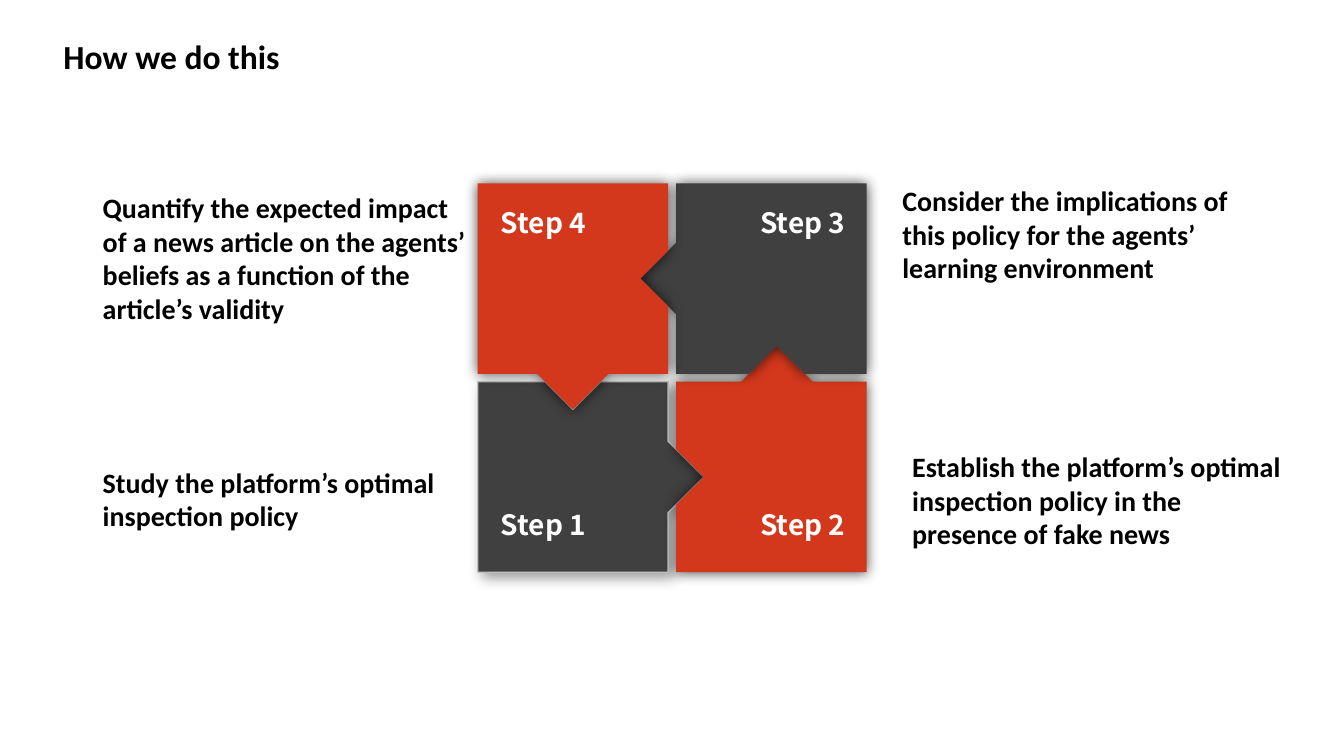
import lxml.etree
import pptx
import pptx.dml.color
import pptx.enum.text
import pptx.oxml.ns
import pptx.util

Cm = pptx.util.Cm
Pt = pptx.util.Pt
RGBColor = pptx.dml.color.RGBColor
Align = pptx.enum.text.PP_ALIGN
Anchor = pptx.enum.text.MSO_ANCHOR
qn = pptx.oxml.ns.qn

BLACK = RGBColor(0x00, 0x00, 0x00)
WHITE = RGBColor(0xFF, 0xFF, 0xFF)
CHARCOAL = RGBColor(0x40, 0x40, 0x40)
RED = RGBColor(0xD3, 0x38, 0x1C)
SILVER = RGBColor(0xC0, 0xC0, 0xC0)

PIECE = 4.8
GAP = 0.2
TAB = 0.9
NOTCH = GAP - TAB
RIGHT_SEAM_SHIFT = 0.14
DIRECTIONS = {"top": (1, 0), "right": (0, 1), "bottom": (-1, 0), "left": (0, -1)}

PUZZLE = [
    ("Step 1", 0, 1, CHARCOAL, {"top": NOTCH, "right": TAB}),
    ("Step 2", 1, 1, RED, {"top": TAB, "left": NOTCH}),
    ("Step 3", 1, 0, CHARCOAL, {"left": TAB, "bottom": NOTCH}),
    ("Step 4", 0, 0, RED, {"right": NOTCH, "bottom": TAB}),
]
EXPLANATIONS = [
    ("Quantify the expected impact of a news article on the agents’ beliefs "
     "as a function of the article’s validity", 2.34, 7.1),
    ("Study the platform’s optimal inspection policy", 2.34, 12.33),
    ("Consider the implications of this policy for the agents’ learning "
     "environment", 22.49, 6.08),
    ("Establish the platform’s optimal inspection policy in the presence of "
     "fake news", 22.74, 12.78),
]


def write(frame, text, size=20, font="Calibri", color=BLACK, align=Align.LEFT,
          anchor=Anchor.TOP, wrap=True):
    """Fill a text frame with one bold, formatted paragraph."""
    frame.word_wrap = wrap
    frame.auto_size = pptx.enum.text.MSO_AUTO_SIZE.NONE
    frame.vertical_anchor = anchor
    frame.margin_left = frame.margin_right = Cm(0.25)
    frame.margin_top = frame.margin_bottom = Cm(0.13)
    paragraph = frame.paragraphs[0]
    paragraph.alignment = align
    run = paragraph.add_run()
    run.text = text
    run.font.size = Pt(size)
    run.font.name = font
    run.font.bold = True
    run.font.color.rgb = color
    east_asian = lxml.etree.SubElement(run.font._element, qn("a:ea"))
    east_asian.set("typeface", font)


def cast_shadow(shape, opacity, distance, angle):
    """Give a shape a blurred black outer shadow."""
    shape.shadow.inherit = False
    effects = shape._element.spPr.find(qn("a:effectLst"))
    shadow = lxml.etree.SubElement(
        effects, qn("a:outerShdw"), blurRad=str(Pt(10)), dist=str(Pt(distance)),
        dir=str(angle * 60000), algn="ctr", rotWithShape="0")
    tint = lxml.etree.SubElement(shadow, qn("a:srgbClr"), val=str(BLACK))
    lxml.etree.SubElement(tint, qn("a:alpha"), val=str(opacity * 1000))


def piece_outline(left, top, joints, shift):
    """Walk clockwise round a square piece, adding its tabs and notches."""
    x, y = left, top
    points = []
    for side, (dx, dy) in DIRECTIONS.items():
        points.append((x, y))
        depth = joints.get(side, 0)
        if depth:
            middle = PIECE / 2 + shift * dx
            half = abs(depth)
            for along, out in ((middle - half, 0), (middle, depth), (middle + half, 0)):
                points.append((x + along * dx + out * dy, y + along * dy - out * dx))
        x, y = x + PIECE * dx, y + PIECE * dy
    return [(Cm(px), Cm(py)) for px, py in points]


def add_piece(shapes, left, top, step, column, row, color, joints):
    """Draw one puzzle piece with its step label in the outer corner."""
    outline = piece_outline(left, top, joints, RIGHT_SEAM_SHIFT * column)
    builder = shapes.build_freeform(*outline[0], scale=1.0)
    builder.add_line_segments(outline[1:], close=True)
    piece = builder.convert_to_shape()
    piece.fill.solid()
    piece.fill.fore_color.rgb = color
    if step == "Step 1":
        piece.line.color.rgb = SILVER
        piece.line.width = Pt(1)
        cast_shadow(piece, 40, 5, 45)
    else:
        piece.line.fill.background()
        cast_shadow(piece, 70, 0, 0)

    width, height, inset = 2.72, 1.37, 0.27
    label_left = left + (PIECE - width - inset if column else inset)
    label_top = top + (PIECE - height - 0.5 if row else 0.3)
    label = shapes.add_textbox(Cm(label_left), Cm(label_top), Cm(width), Cm(height))
    write(label.text_frame, step, font="Noto Sans CJK SC", color=WHITE,
          align=Align.CENTER, wrap=False)
    label.text_frame.margin_top = label.text_frame.margin_bottom = Cm(0.25)
    label.text_frame.margin_right = Cm(0.2)


def add_puzzle(slide, left, top):
    """Assemble the four interlocking steps from a top-left corner."""
    puzzle = slide.shapes.add_group_shape()
    pitch = PIECE + GAP
    for step, column, row, color, joints in PUZZLE:
        add_piece(puzzle.shapes, left + column * pitch, top + row * pitch,
                  step, column, row, color, joints)


def add_explanation(slide, text, left, top, width=9.88, height=1.22):
    """Place the explanation of a step, growing upwards from its box."""
    explanation = slide.shapes.add_textbox(Cm(left), Cm(top), Cm(width), Cm(height))
    write(explanation.text_frame, text, anchor=Anchor.BOTTOM)


def add_heading(slide, text, left, top, width, height):
    """Move the title placeholder into its box and fill it."""
    heading = slide.shapes.title
    heading.left, heading.top = Cm(left), Cm(top)
    heading.width, heading.height = Cm(width), Cm(height)
    write(heading.text_frame, text, size=24)


def main():
    """Build and save the slide."""
    deck = pptx.Presentation()
    deck.slide_width, deck.slide_height = Cm(33.87), Cm(19.05)
    slide = deck.slides.add_slide(deck.slide_layouts.get_by_name("Title Only"))
    add_heading(slide, "How we do this", 1.35, 0.78, 6.58, 1.27)
    add_puzzle(slide, 12.04, 4.62)
    for text, left, top in EXPLANATIONS:
        add_explanation(slide, text, left, top)
    deck.save("out.pptx")


if __name__ == "__main__":
    main()
